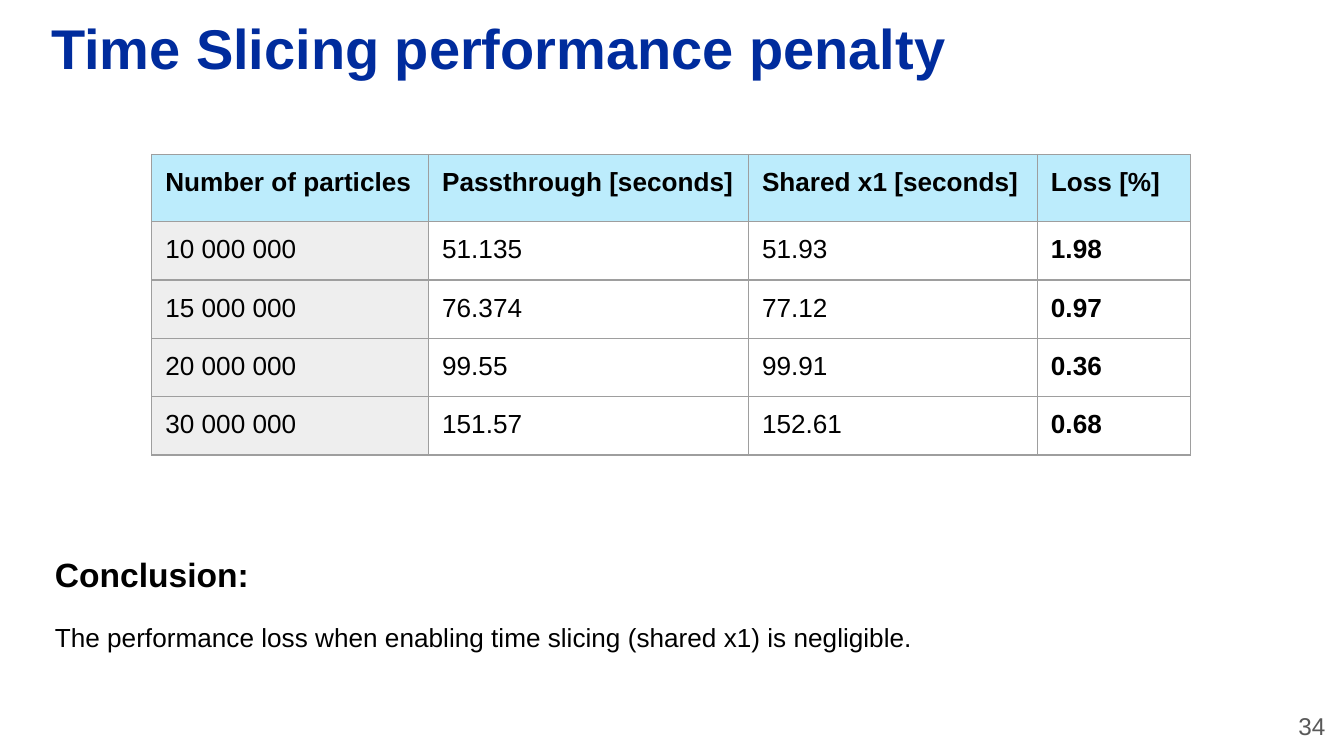
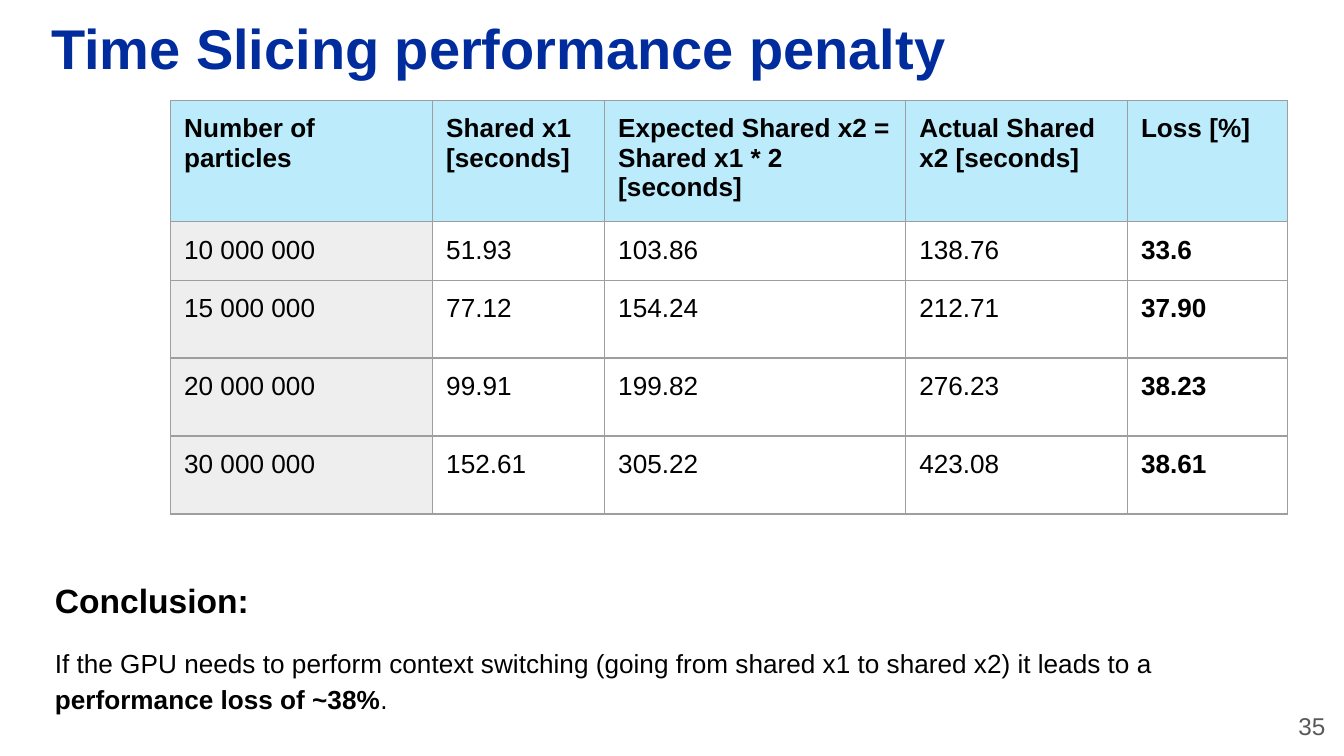
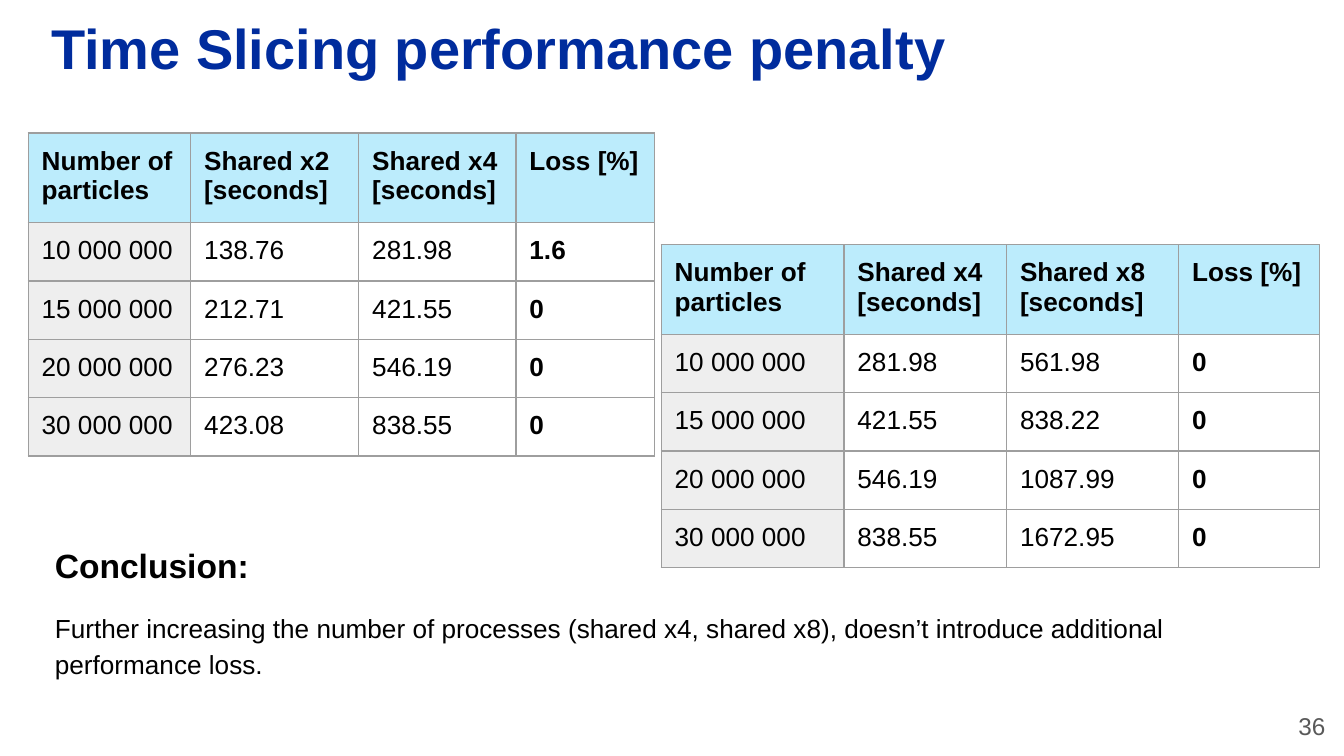
from dataclasses import dataclass

from lxml.etree import SubElement
from pptx import Presentation
from pptx.dml.color import RGBColor
from pptx.enum.text import MSO_ANCHOR as Anchor, PP_ALIGN as Align
from pptx.oxml.ns import qn
from pptx.util import Inches, Pt


@dataclass(frozen=True)
class Theme:
    font: str = "Arial"
    title_color: str = "002C9D"
    text_color: str = "000000"
    number_color: str = "595959"
    header_fill: str = "BCECFC"
    label_fill: str = "EEEEEE"
    border_color: str = "9E9E9E"
    border_width: float = 0.75
    title_size: int = 30
    heading_size: int = 18
    body_size: int = 14
    number_size: int = 13
    inset: float = 0.1


THEME = Theme()
TITLE = "Time Slicing performance penalty"
FIRST_NUMBER = 34

PARTICLES = ["10 000 000", "15 000 000", "20 000 000", "30 000 000"]
SHARED_X1 = ["51.93", "77.12", "99.91", "152.61"]
SHARED_X2 = ["138.76", "212.71", "276.23", "423.08"]
SHARED_X4 = ["281.98", "421.55", "546.19", "838.55"]

# Table: left, top, row heights, then columns of (header, width, values).
# Conclusion: left, top, width, height, then (words, bold) spans.
PAGES = [
    {
        "tables": [
            (1.13, 1.15, [0.5] + [0.43] * 4, [
                ("Number of particles", 2.06, PARTICLES),
                ("Passthrough [seconds]", 2.38, ["51.135", "76.374", "99.55", "151.57"]),
                ("Shared x1 [seconds]", 2.15, SHARED_X1),
                ("Loss [%]", 1.14, ["1.98", "0.97", "0.36", "0.68"]),
            ]),
        ],
        "conclusion": ((0.31, 3.98, 8.71, 0.95), [
            ("The performance loss when enabling time slicing (shared x1) is negligible.", False),
        ]),
    },
    {
        "tables": [
            (1.27, 0.75, [0.78, 0.38] + [0.58] * 3, [
                ("Number of particles", 1.95, PARTICLES),
                ("Shared x1 [seconds]", 1.28, SHARED_X1),
                ("Expected Shared x2 = Shared x1 * 2\n[seconds]", 2.24,
                 ["103.86", "154.24", "199.82", "305.22"]),
                ("Actual Shared x2 [seconds]", 1.65, SHARED_X2),
                ("Loss [%]", 1.19, ["33.6", "37.90", "38.23", "38.61"]),
            ]),
        ],
        "conclusion": ((0.31, 4.17, 8.71, 1.45), [
            ("If the GPU needs to perform context switching "
             "(going from shared x1 to shared x2) it leads to a ", False),
            ("performance loss of ~38%", True),
            (".", False),
        ]),
    },
    {
        "tables": [
            (0.21, 0.99, [0.61] + [0.39] * 4, [
                ("Number of particles", 1.21, PARTICLES),
                ("Shared x2 [seconds]", 1.25, SHARED_X2),
                ("Shared x4 [seconds]", 1.17, SHARED_X4),
                ("Loss [%]", 1.03, ["1.6", "0", "0", "0"]),
            ]),
            (4.92, 1.82, [0.44] + [0.28] * 4, [
                ("Number of particles", 1.36, PARTICLES),
                ("Shared x4 [seconds]", 1.21, SHARED_X4),
                ("Shared x8 [seconds]", 1.28, ["561.98", "838.22", "1087.99", "1672.95"]),
                ("Loss [%]", 1.05, ["0", "0", "0", "0"]),
            ]),
        ],
        "conclusion": ((0.31, 3.91, 9.33, 1.63), [
            ("Further increasing the number of processes (shared x4, shared x8), "
             "doesn’t introduce additional performance loss.", False),
        ]),
    },
]


def set_margins(target, across, down):
    target.margin_left = target.margin_right = Inches(across)
    target.margin_top = target.margin_bottom = Inches(down)


def add_span(para, words, size, color=THEME.text_color, bold=False):
    span = para.add_run()
    span.text = words
    span.font.name = THEME.font
    span.font.size = Pt(size)
    span.font.bold = bold
    span.font.color.rgb = RGBColor.from_string(color)


def add_text_frame(page, area, across=THEME.inset, down=THEME.inset):
    frame = page.shapes.add_textbox(*map(Inches, area)).text_frame
    frame.word_wrap = True
    set_margins(frame, across, down)
    return frame


def add_title(page):
    frame = add_text_frame(page, (0.31, -0.16, 8.62, 1.09), 0.07, 0.04)
    frame.vertical_anchor = Anchor.MIDDLE
    para = frame.paragraphs[0]
    para.line_spacing = 0.9
    add_span(para, TITLE, THEME.title_size, THEME.title_color, True)


def add_page_number(page, number):
    para = add_text_frame(page, (9.36, 5.19, 0.6, 0.43)).paragraphs[0]
    para.alignment = Align.RIGHT
    add_span(para, str(number), THEME.number_size, THEME.number_color)


def add_conclusion(page, area, spans):
    frame = add_text_frame(page, area)
    heading, body = frame.paragraphs[0], frame.add_paragraph()
    heading.line_spacing = body.line_spacing = 1.15
    body.space_before = Pt(12)
    add_span(heading, "Conclusion:", THEME.heading_size, bold=True)
    for words, bold in spans:
        add_span(body, words, THEME.body_size, bold=bold)


def add_borders(cell):
    """Line all four sides; the lines must precede the fill in the cell's XML."""
    properties = cell._tc.get_or_add_tcPr()
    for side in ("lnL", "lnR", "lnT", "lnB"):
        line = SubElement(properties, qn(f"a:{side}"), w=str(Pt(THEME.border_width)))
        fill = SubElement(line, qn("a:solidFill"))
        SubElement(fill, qn("a:srgbClr"), val=THEME.border_color)


def fill_cell(cell, words, bold, color):
    set_margins(cell, THEME.inset, THEME.inset)
    add_borders(cell)
    if color:
        cell.fill.solid()
        cell.fill.fore_color.rgb = RGBColor.from_string(color)
    else:
        cell.fill.background()
    frame = cell.text_frame
    for index, line in enumerate(words.split("\n")):
        para = frame.add_paragraph() if index else frame.paragraphs[0]
        add_span(para, line, THEME.body_size, bold=bold)


def add_timing_table(page, left, top, heights, columns):
    width = sum(column[1] for column in columns)
    area = map(Inches, (left, top, width, sum(heights)))
    table = page.shapes.add_table(len(heights), len(columns), *area).table
    table.first_row = table.horz_banding = False
    for row, height in zip(table.rows, heights):
        row.height = Inches(height)
    last = len(columns) - 1
    for c, (header, column_width, values) in enumerate(columns):
        table.columns[c].width = Inches(column_width)
        fill_cell(table.cell(0, c), header, True, THEME.header_fill)
        for r, value in enumerate(values, 1):
            color = THEME.label_fill if c == 0 else None
            fill_cell(table.cell(r, c), value, c == last, color)


def main():
    deck = Presentation()
    deck.slide_width = Inches(10)
    deck.slide_height = deck.slide_width * 9 // 16
    for number, content in enumerate(PAGES, FIRST_NUMBER):
        page = deck.slides.add_slide(deck.slide_layouts[6])
        add_title(page)
        for table in content["tables"]:
            add_timing_table(page, *table)
        add_conclusion(page, *content["conclusion"])
        add_page_number(page, number)
    deck.save("out.pptx")


if __name__ == "__main__":
    main()
